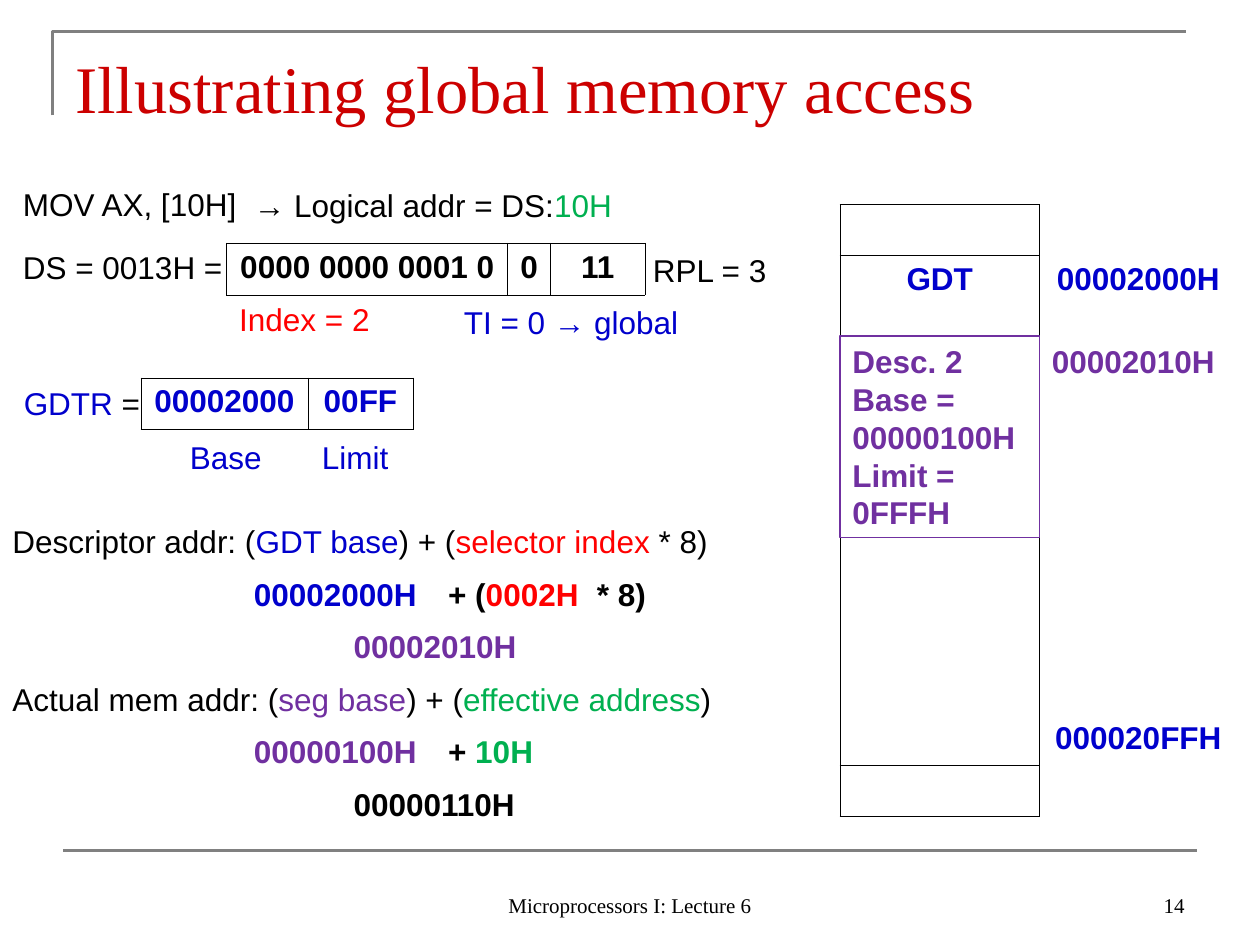
from lxml.etree import SubElement
from pptx import Presentation
from pptx.dml.color import RGBColor
from pptx.enum.shapes import MSO_CONNECTOR as Connector, MSO_SHAPE as Shape
from pptx.enum.text import MSO_ANCHOR as Anchor, PP_ALIGN as Align
from pptx.oxml.ns import qn
from pptx.util import Pt

BLACK, GRAY, TITLE_RED = "000000", "808080", "CC0000"
BLUE, RED, GREEN, PURPLE = "0000CC", "FF0000", "00B050", "7030A0"
SERIF = "Times New Roman"


def color(value):
    return RGBColor.from_string(value)


def write_text(frame, text, size=18, font="Arial", fill=BLACK, bold=False,
               align=Align.LEFT, anchor=Anchor.TOP, tab=None):
    frame.word_wrap = True
    frame.vertical_anchor = anchor
    paragraphs = text.split("\n") if isinstance(text, str) else [text]
    for index, content in enumerate(paragraphs):
        paragraph = frame.add_paragraph() if index else frame.paragraphs[0]
        paragraph.alignment = align
        if tab:
            tabs = SubElement(paragraph._p.get_or_add_pPr(), qn("a:tabLst"))
            SubElement(tabs, qn("a:tab"), pos=str(Pt(tab)), algn="l")
        pieces = [(content, fill)] if isinstance(content, str) else content
        for words, shade in pieces:
            run = paragraph.add_run()
            run.text = words
            run.font.size = Pt(size)
            run.font.name = font
            run.font.bold = bold
            run.font.color.rgb = color(shade)


class SlideBuilder:
    def __init__(self, slide, rule_color=GRAY, rule_width=1.5, grid_width=0.45):
        self.slide = slide
        self.rule_color = rule_color
        self.rule_width = rule_width
        self.grid_width = grid_width

    def text(self, left, top, width, text, height=28.8, **style):
        box = self.slide.shapes.add_textbox(Pt(left), Pt(top), Pt(width), Pt(height))
        write_text(box.text_frame, text, **style)

    def outline(self, shape, line_color, width):
        shape.shadow.inherit = False
        shape.fill.background()
        shape.line.color.rgb = color(line_color)
        shape.line.width = Pt(width)

    def corner(self, points):
        builder = self.slide.shapes.build_freeform(Pt(points[0][0]), Pt(points[0][1]))
        builder.add_line_segments([(Pt(x), Pt(y)) for x, y in points[1:]], close=False)
        self.outline(builder.convert_to_shape(), self.rule_color, self.rule_width)

    def rule(self, left, right, y):
        line = self.slide.shapes.add_connector(
            Connector.STRAIGHT, Pt(left), Pt(y), Pt(right), Pt(y))
        line.line.color.rgb = color(self.rule_color)
        line.line.width = Pt(self.rule_width)
        SubElement(line._element.spPr, qn("a:effectLst"))

    def box(self, left, top, width, height, text, line_color, **style):
        shape = self.slide.shapes.add_shape(
            Shape.RECTANGLE, Pt(left), Pt(top), Pt(width), Pt(height))
        self.outline(shape, line_color, 0.75)
        write_text(shape.text_frame, text, fill=line_color, **style)

    def cell(self, cell, text, sides, **style):
        cell_format = cell._tc.get_or_add_tcPr()
        for side in "LRTB":
            border = SubElement(cell_format, qn(f"a:ln{side}"), w=str(Pt(self.grid_width)))
            if side in sides:
                fill = SubElement(border, qn("a:solidFill"))
                SubElement(fill, qn("a:srgbClr"), val=BLACK)
            else:
                SubElement(border, qn("a:noFill"))
        cell.fill.background()
        if text:
            write_text(cell.text_frame, text, bold=True, align=Align.CENTER, **style)

    def table(self, left, top, widths, row_height, rows, borders, **style):
        table = self.slide.shapes.add_table(
            len(rows), len(widths), Pt(left), Pt(top),
            Pt(sum(widths)), Pt(row_height * len(rows))).table
        table.first_row = table.horz_banding = False
        for column, width in zip(table.columns, widths):
            column.width = Pt(width)
        for row, values in enumerate(rows):
            table.rows[row].height = Pt(row_height)
            for column, value in enumerate(values):
                self.cell(table.cell(row, column), value, borders(row, column), **style)


def all_borders(row, column):
    return "LRTB"


def memory_borders(row, column):
    if column:
        return "L"
    return "LR" + "T" * (row in (0, 1, 11)) + "B" * (row in (0, 10, 11))


def main():
    presentation = Presentation()
    presentation.slide_width, presentation.slide_height = Pt(720), Pt(540)
    builder = SlideBuilder(presentation.slides.add_slide(presentation.slide_layouts[6]))

    builder.corner([(30, 66), (30, 18), (678, 18)])
    builder.rule(36, 684, 486)
    builder.text(36, 21.6, 648, "Illustrating global memory access", height=56,
                 size=38, font=SERIF, fill=TITLE_RED, anchor=Anchor.MIDDLE)
    footer = dict(height=36, size=12, font=SERIF, anchor=Anchor.BOTTOM)
    builder.text(246, 492, 228, "Microprocessors I: Lecture 6", align=Align.CENTER, **footer)
    builder.text(516, 492, 168, "14", align=Align.RIGHT, **footer)

    builder.text(6, 102, 144, "MOV AX, [10H]")
    builder.text(138, 103, 222, [("→ Logical addr = DS:", BLACK), ("10H", GREEN)])
    builder.text(6, 138, 132, "DS = 0013H =")
    builder.table(129.6, 139, [160.5, 24.5, 54], 29.5,
                  [["0000 0000 0001 0", "0", "11"]], all_borders)
    builder.text(366, 140, 96, "RPL = 3")
    builder.text(258, 169.5, 162, "TI = 0 → global", fill=BLUE)
    builder.text(129.6, 168, 96, "Index = 2", fill=RED)

    builder.text(6.5, 216, 87, [("GDTR ", BLUE), ("=", BLACK)])
    builder.table(80.5, 216, [95.5, 60], 29.5, [["00002000", "00FF"]],
                  all_borders, fill=BLUE)
    builder.text(101.4, 247, 136, "Base\tLimit", fill=BLUE, tab=75.5)

    memory = [["", ""] for _ in range(12)]
    memory[1] = ["GDT", "00002000H"]
    memory[10][1] = "000020FFH"
    builder.table(480, 116.8, [114, 113], 29.16, memory, memory_borders, fill=BLUE)
    builder.text(594, 192, 111, "00002010H", fill=PURPLE, bold=True)
    builder.box(480, 192, 114, 115.2, "Desc. 2\nBase = 00000100H\nLimit =\n0FFFH",
                PURPLE, bold=True)

    calculations = [
        ([("Descriptor addr: (", BLACK), ("GDT base", BLUE), (") + (", BLACK),
          ("selector index ", RED), ("* 8)", BLACK)],
         [("00002000H", BLUE)],
         [("+ (", BLACK), ("0002H", RED), ("\t* 8)", BLACK)],
         [("00002010H", PURPLE)]),
        ([("Actual mem addr: (", BLACK), ("seg base", PURPLE), (") + (", BLACK),
          ("effective address", GREEN), (")", BLACK)],
         [("00000100H", PURPLE)],
         [("+ ", BLACK), ("10H", GREEN)],
         [("00000110H", BLACK)]),
    ]
    for index, (formula, base, offset, result) in enumerate(calculations):
        top = 295 + 90 * index
        builder.text(0, top, 432, formula)
        builder.text(138, top + 30, 111, base, bold=True)
        builder.text(249, top + 30, 147, offset, bold=True, tab=85)
        builder.text(195, top + 60, 111, result, bold=True)

    presentation.save("out.pptx")


if __name__ == "__main__":
    main()
